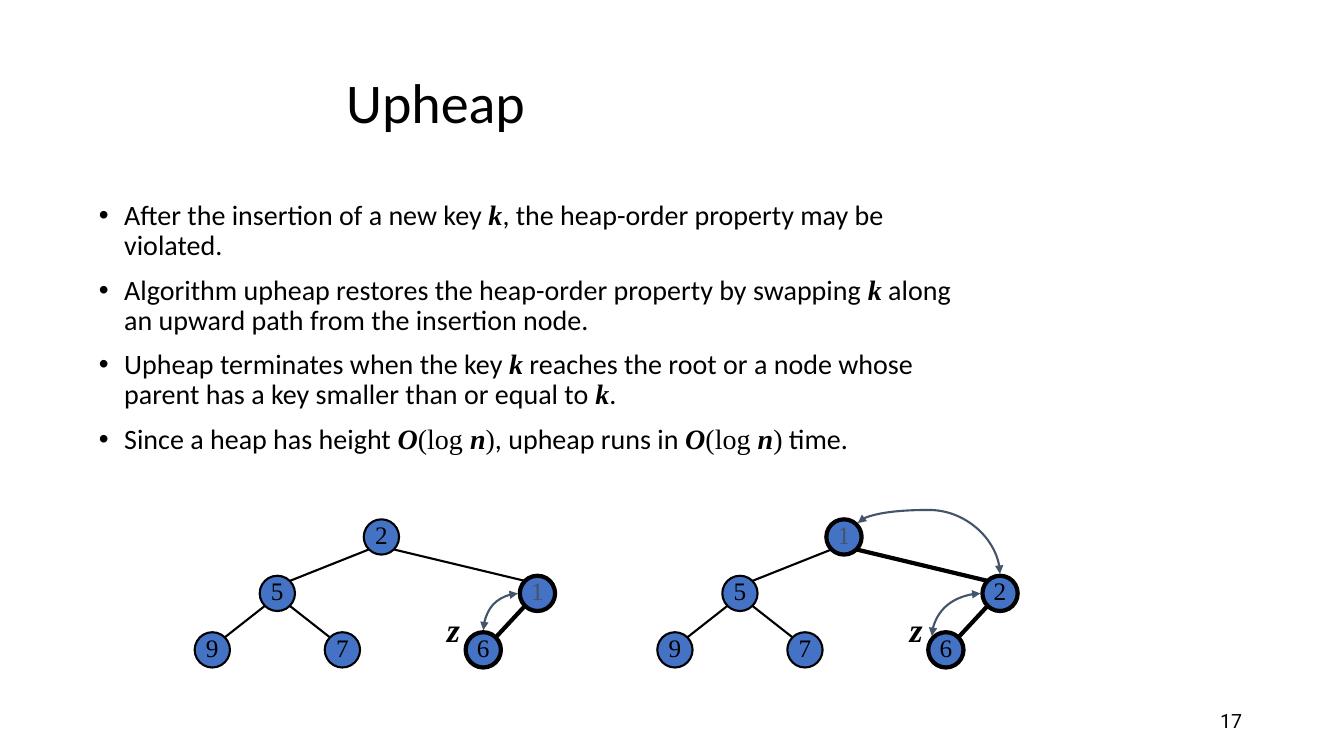
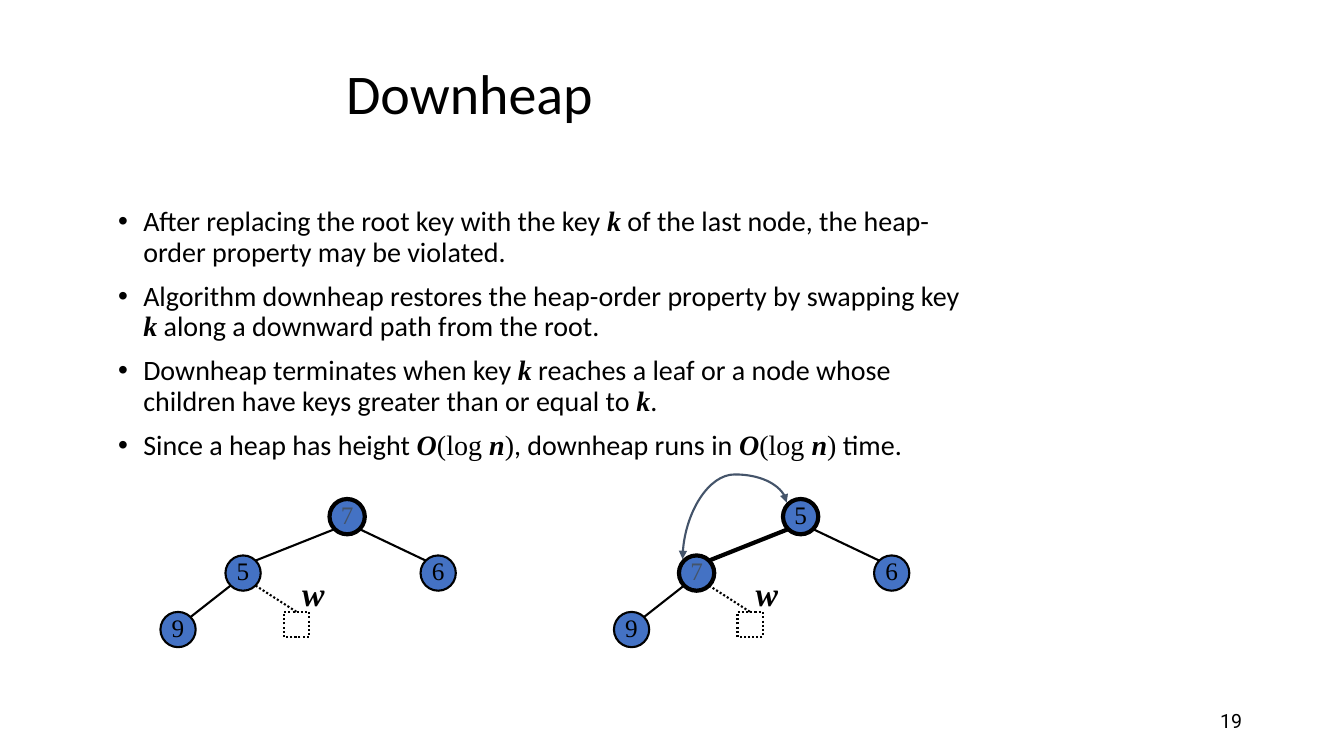
from dataclasses import dataclass
from enum import Enum
from typing import NamedTuple

from lxml import etree
from pptx import Presentation
from pptx import util as u
from pptx.dml.color import RGBColor
from pptx.enum import dml, shapes, text
from pptx.oxml.ns import qn


@dataclass(frozen=True)
class Theme:
    ink: str = "000000"
    muted: str = "44546A"
    node: str = "4472C4"
    paper: str = "FFFFFF"
    sans: str = "Calibri"
    serif: str = "Times New Roman"
    number: str = "Roboto"
    title_size: int = 40
    body_size: int = 20
    key_size: int = 18
    label_size: int = 24
    number_size: int = 14
    thin: float = 1.5
    thick: float = 3


THEME = Theme()
COLUMN, ROW = 0.43, 0.56
NODE_SIZE, LEAF_SIZE = 0.35, 0.25
DIAGONAL = 0.71
ARROW_REACH = NODE_SIZE / 2 + 0.02


class Box(NamedTuple):
    column: float
    row: float
    columns: float
    rows: float


class Point(NamedTuple):
    x: float
    y: float

    def shifted(self, dx: float, dy: float) -> "Point":
        return Point(self.x + dx, self.y + dy)


class Side(Enum):
    TOP = Point(0, -1)
    LEFT = Point(-1, 0)
    TOP_LEFT = Point(-DIAGONAL, -DIAGONAL)
    TOP_RIGHT = Point(DIAGONAL, -DIAGONAL)


class Math(NamedTuple):
    symbols: str
    strong: bool = True


class Slot(NamedTuple):
    column: float
    row: int
    parent: int | None = None


class Swap(NamedTuple):
    start: int
    start_side: Side
    end: int
    end_side: Side
    rise: float | None = None


@dataclass(frozen=True)
class Layout:
    slots: tuple[Slot, ...]
    label: str
    label_at: Point
    leaf: Slot | None = None


@dataclass(frozen=True)
class Tree:
    column: float
    row: float
    keys: str
    heavy: tuple[int, ...]
    muted: int
    swaps: tuple[Swap, ...] = ()


@dataclass(frozen=True)
class Topic:
    title: str
    title_box: Box
    points: tuple[tuple[str | Math, ...], ...]
    points_box: Box
    number: str
    layout: Layout
    trees: tuple[Tree, ...]


KEY = Math("k")
LOG_TIME = (Math("O"), Math("(log ", False), Math("n"), Math(")", False))
NUMBER_BOX = Box(21.9, 12.41, 6.98, 0.71)

UPHEAP_LAYOUT = Layout(
    (Slot(3.9, 0), Slot(1.5, 1, 0), Slot(7.5, 1, 0),
     Slot(0, 2, 1), Slot(3, 2, 1), Slot(6.25, 2, 2)),
    "z", Point(5.47, 1.5))
DOWNHEAP_LAYOUT = Layout(
    (Slot(3.9, 0), Slot(1.5, 1, 0), Slot(6, 1, 0), Slot(0, 2, 1)),
    "w", Point(3.03, 1.23), Slot(2.85, 2, 1))

TOPICS = (
    Topic(
        "Upheap", Box(7.75, 0.89, 7.93, 1.95),
        (("After the insertion of a new key ", KEY,
          ", the heap-order property may be violated."),
         ("Algorithm upheap restores the heap-order property by swapping ", KEY,
          " along an upward path from the insertion node."),
         ("Upheap terminates when the key ", KEY,
          " reaches the root or a node whose parent has a key smaller than or equal to ",
          KEY, "."),
         ("Since a heap has height ", *LOG_TIME, ", upheap runs in ", *LOG_TIME, " time.")),
        Box(2.05, 3.48, 20.53, 4.77), "17", UPHEAP_LAYOUT,
        (Tree(4.49, 9.2, "251976", (2, 5), 2,
              (Swap(2, Side.LEFT, 5, Side.TOP),)),
         Tree(15.16, 9.2, "152976", (0, 2, 5), 0,
              (Swap(2, Side.TOP, 0, Side.TOP_RIGHT, 0.13),
               Swap(2, Side.LEFT, 5, Side.TOP_LEFT))))),
    Topic(
        "Downheap", Box(7.75, 0.59, 7.93, 2.23),
        (("After replacing the root key with the key ", KEY,
          " of the last node, the heap-order property may be violated."),
         ("Algorithm downheap restores the heap-order property by swapping key ", KEY,
          " along a downward path from the root."),
         ("Downheap terminates when key ", KEY,
          " reaches a leaf or a node whose children have keys greater than or equal to ",
          KEY, "."),
         ("Since a heap has height ", *LOG_TIME, ", downheap runs in ", *LOG_TIME, " time.")),
        Box(2.49, 3.59, 20.35, 4.77), "19", DOWNHEAP_LAYOUT,
        (Tree(3.7, 8.84, "7569", (0,), 0),
         Tree(14.16, 8.84, "5769", (0, 1), 1,
              (Swap(0, Side.TOP_LEFT, 1, Side.TOP_LEFT, 0.28),)))),
)


def on_grid(box: Box) -> list[int]:
    return [u.Inches(box.column * COLUMN), u.Inches(box.row * ROW),
            u.Inches(box.columns * COLUMN), u.Inches(box.rows * ROW)]


def add_text(paragraph, words: str, *, size: float, face: str = THEME.serif,
             color: str = THEME.ink, strong: bool = False, align=None) -> None:
    if align is not None:
        paragraph.alignment = align
    run = paragraph.add_run()
    run.text = words
    run.font.name, run.font.size = face, u.Pt(size)
    run.font.bold = run.font.italic = strong
    run.font.color.rgb = RGBColor.from_string(color)


def place(holder, box: Box, anchor):
    holder.left, holder.top, holder.width, holder.height = on_grid(box)
    frame = holder.text_frame
    frame.word_wrap = True
    frame.auto_size = text.MSO_AUTO_SIZE.NONE
    frame.vertical_anchor = anchor
    return frame


def add_bullet(paragraph) -> None:
    properties = paragraph._p.get_or_add_pPr()
    properties.set("marL", str(u.Inches(0.25)))
    properties.set("indent", str(-u.Inches(0.25)))
    etree.SubElement(properties, qn("a:buFont")).set("typeface", "Arial")
    etree.SubElement(properties, qn("a:buChar")).set("char", "•")


def add_points(frame, points) -> None:
    for index, point in enumerate(points):
        paragraph = frame.paragraphs[0] if index == 0 else frame.add_paragraph()
        add_bullet(paragraph)
        paragraph.line_spacing = 0.9
        paragraph.space_before = u.Pt(10 if index else 0)
        for part in point:
            if isinstance(part, Math):
                add_text(paragraph, part.symbols, size=THEME.body_size, strong=part.strong)
            else:
                add_text(paragraph, part, size=THEME.body_size, face=THEME.sans)


def style_line(line, weight: float, color: str = THEME.ink, dotted: bool = False) -> None:
    line.color.rgb = RGBColor.from_string(color)
    line.width = u.Pt(weight)
    if dotted:
        line.dash_style = dml.MSO_LINE.ROUND_DOT


def add_figure(slide, preset, at: Point, size: float, fill: str, weight: float,
               dotted: bool = False):
    figure = slide.shapes.add_shape(preset, *(u.Inches(n) for n in (*at, size, size)))
    figure.shadow.inherit = False
    figure.fill.solid()
    figure.fill.fore_color.rgb = RGBColor.from_string(fill)
    style_line(figure.line, weight, dotted=dotted)
    return figure


def add_node(slide, center: Point, key: str, heavy: bool, muted: bool) -> None:
    node = add_figure(slide, shapes.MSO_SHAPE.OVAL,
                      center.shifted(-NODE_SIZE / 2, -NODE_SIZE / 2), NODE_SIZE,
                      THEME.node, THEME.thick if heavy else THEME.thin)
    frame = node.text_frame
    frame.margin_left = frame.margin_right = frame.margin_top = 0
    frame.margin_bottom = u.Inches(0.05)
    frame.word_wrap = False
    frame.vertical_anchor = text.MSO_ANCHOR.MIDDLE
    add_text(frame.paragraphs[0], key, size=THEME.key_size, align=text.PP_ALIGN.CENTER,
             color=THEME.muted if muted else THEME.ink)


def add_link(slide, kind, start: Point, end: Point, weight: float,
             color: str = THEME.ink, dotted: bool = False):
    link = slide.shapes.add_connector(kind, *(u.Inches(n) for n in (*start, *end)))
    style_line(link.line, weight, color, dotted)
    etree.SubElement(link._element.spPr, qn("a:effectLst"))
    return link


def edge_start(parent: Point, child: Point) -> Point:
    reach = NODE_SIZE / 2 * DIAGONAL
    return parent.shifted(reach if child.x > parent.x else -reach, reach)


def add_edge(slide, parent: Point, child: Point, heavy: bool) -> None:
    start = edge_start(parent, child)
    end = child.shifted(parent.x - start.x, parent.y - start.y)
    add_link(slide, shapes.MSO_CONNECTOR.STRAIGHT, start, end,
             THEME.thick if heavy else THEME.thin)


def add_swap(slide, centers: list[Point], swap: Swap) -> None:
    start, end = (
        centers[index].shifted(side.value.x * ARROW_REACH, side.value.y * ARROW_REACH)
        for index, side in ((swap.start, swap.start_side), (swap.end, swap.end_side)))
    arc = add_link(slide, shapes.MSO_CONNECTOR.CURVE, start, end, THEME.thin, THEME.muted)
    properties = arc._element.spPr
    outline = properties.find(qn("a:ln"))
    for tip in ("a:headEnd", "a:tailEnd"):
        etree.SubElement(outline, qn(tip)).set("type", "triangle")
    preset = properties.find(qn("a:prstGeom"))
    frame = properties.find(qn("a:xfrm"))
    if swap.rise is None:
        preset.set("prst", "curvedConnector2")
        turn, flips = 180, (False, True)
    else:
        rising = end.y < start.y
        turn, flips = (90, (True, False)) if rising else (270, (True, True))
        width, height = abs(end.x - start.x), abs(end.y - start.y)
        arc.left = u.Inches((start.x + end.x - height) / 2)
        arc.top = u.Inches((start.y + end.y - width) / 2)
        arc.width, arc.height = u.Inches(height), u.Inches(width)
        peak = min(start.y, end.y) - swap.rise
        bend = round((peak - start.y) / (end.y - start.y) * 100000)
        guide = etree.SubElement(preset.find(qn("a:avLst")), qn("a:gd"))
        guide.set("name", "adj1")
        guide.set("fmla", f"val {bend}")
    frame.set("rot", str(turn * 60000))
    for name, flipped in zip(("flipH", "flipV"), flips):
        frame.set(name, str(int(flipped)))


def add_tree(slide, tree: Tree, layout: Layout) -> None:
    def corner(column: float, row: float) -> Point:
        return Point((tree.column + column) * COLUMN, (tree.row + row) * ROW)

    centers = [corner(slot.column, slot.row).shifted(NODE_SIZE / 2, NODE_SIZE / 2)
               for slot in layout.slots]
    for index, (slot, center) in enumerate(zip(layout.slots, centers)):
        heavy = index in tree.heavy
        add_node(slide, center, tree.keys[index], heavy, index == tree.muted)
        if slot.parent is not None:
            add_edge(slide, centers[slot.parent], center, heavy and slot.parent in tree.heavy)
    if layout.leaf:
        at = corner(layout.leaf.column, layout.leaf.row)
        leaf = add_figure(slide, shapes.MSO_SHAPE.RECTANGLE, at, LEAF_SIZE,
                          THEME.paper, THEME.thin, dotted=True)
        parent = centers[layout.leaf.parent]
        branch = add_link(slide, shapes.MSO_CONNECTOR.STRAIGHT, edge_start(parent, at), at,
                          THEME.thin, dotted=True)
        branch.end_connect(leaf, 0)
    label = slide.shapes.add_textbox(*on_grid(Box(
        tree.column + layout.label_at.x, tree.row + layout.label_at.y, 1, 0.9)))
    label.text_frame.word_wrap = False
    add_text(label.text_frame.paragraphs[0], layout.label, size=THEME.label_size,
             strong=True, align=text.PP_ALIGN.CENTER)
    for swap in tree.swaps:
        add_swap(slide, centers, swap)


def add_topic(deck, topic: Topic) -> None:
    slide = deck.slides.add_slide(deck.slide_layouts[1])
    heading = place(slide.shapes.title, topic.title_box, text.MSO_ANCHOR.MIDDLE).paragraphs[0]
    heading.line_spacing = 0.9
    add_text(heading, topic.title, size=THEME.title_size, face=THEME.sans,
             align=text.PP_ALIGN.LEFT)
    add_points(place(slide.placeholders[1], topic.points_box, text.MSO_ANCHOR.TOP), topic.points)
    number = slide.shapes.add_textbox(*on_grid(NUMBER_BOX))
    frame = place(number, NUMBER_BOX, text.MSO_ANCHOR.MIDDLE)
    add_text(frame.paragraphs[0], topic.number, size=THEME.number_size, face=THEME.number,
             align=text.PP_ALIGN.RIGHT)
    for tree in topic.trees:
        add_tree(slide, tree, topic.layout)


def main() -> None:
    deck = Presentation()
    deck.slide_width, deck.slide_height = u.Inches(13.33), u.Inches(7.5)
    for topic in TOPICS:
        add_topic(deck, topic)
    deck.save("out.pptx")


if __name__ == "__main__":
    main()
